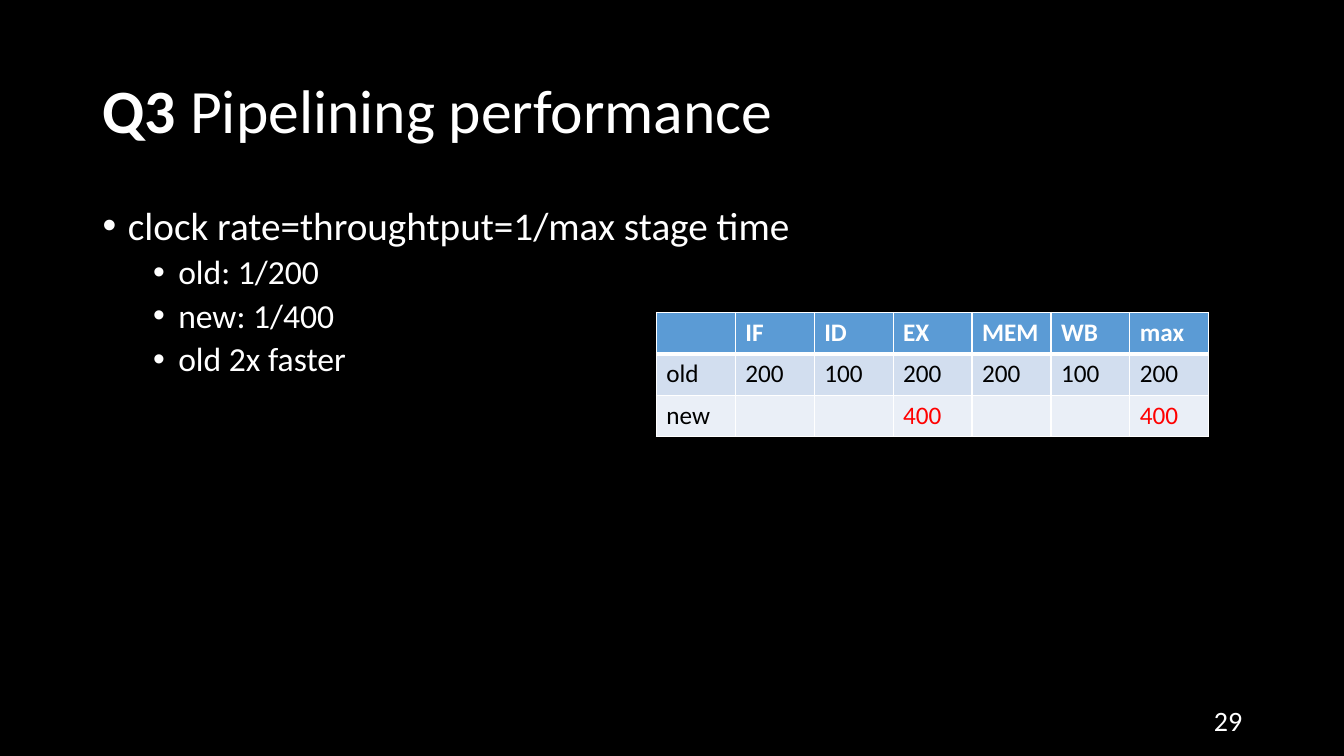
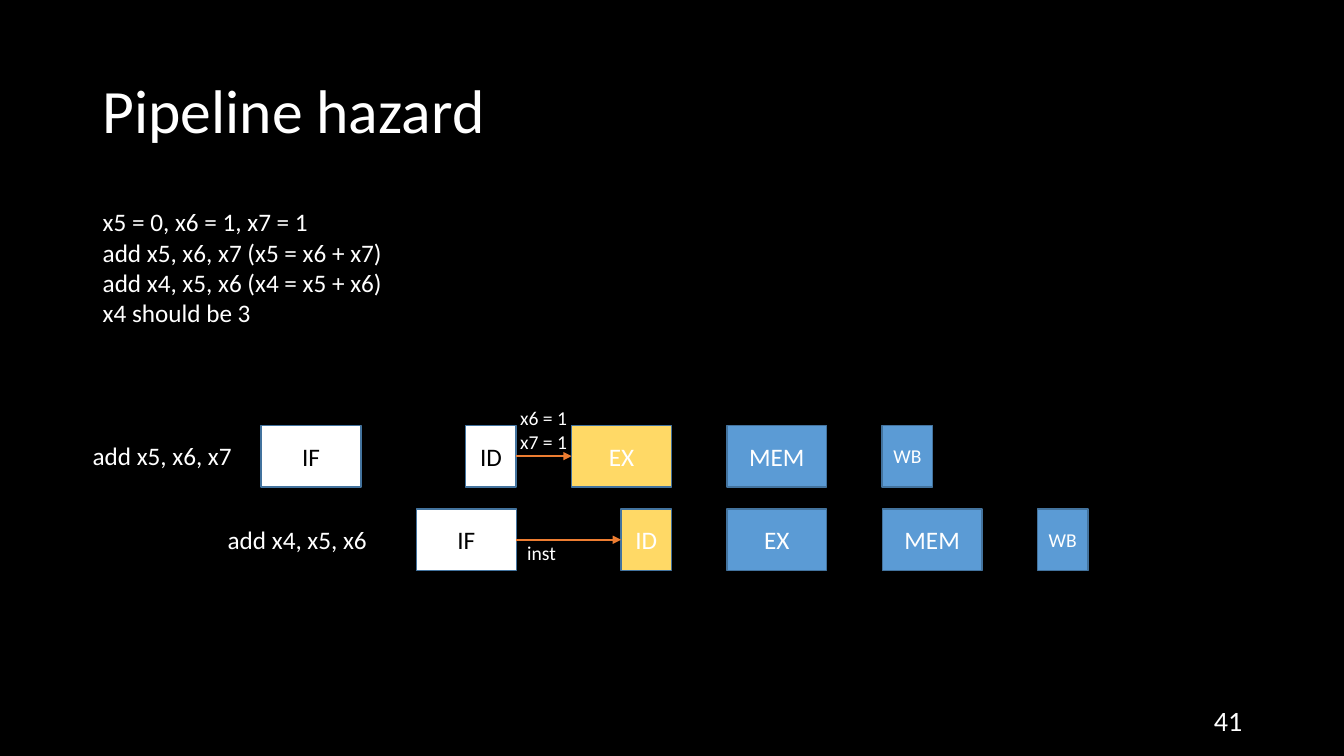
"""Build two slides on pipelining performance and pipeline hazards."""
from dataclasses import dataclass

from lxml import etree
from pptx import Presentation
from pptx.dml.color import RGBColor
from pptx.enum.shapes import MSO_CONNECTOR, MSO_SHAPE
from pptx.enum.text import MSO_ANCHOR, PP_ALIGN
from pptx.oxml.ns import qn
from pptx.util import Inches, Pt

TOP, MIDDLE = MSO_ANCHOR.TOP, MSO_ANCHOR.MIDDLE
LEFT, CENTER, RIGHT = PP_ALIGN.LEFT, PP_ALIGN.CENTER, PP_ALIGN.RIGHT
RECTANGLE, STRAIGHT = MSO_SHAPE.RECTANGLE, MSO_CONNECTOR.STRAIGHT
LEFT_SIDE, RIGHT_SIDE = 1, 3


@dataclass(frozen=True)
class Theme:
    font: str = "Calibri"
    black: str = "000000"
    white: str = "FFFFFF"
    blue: str = "5B9BD5"
    yellow: str = "FFD966"
    orange: str = "ED7D31"
    outline: str = "43739E"
    band_dark: str = "D2DEEF"
    band_light: str = "EAEFF7"
    red: str = "FF0000"
    title_size: int = 44
    body_size: int = 28
    sub_size: int = 24
    number_size: int = 20
    text_size: int = 18
    small_size: int = 14


THEME = Theme()


@dataclass(frozen=True)
class Span:
    text: str
    size: int = THEME.text_size
    color: str = THEME.white
    bold: bool = False


@dataclass(frozen=True)
class Para:
    spans: tuple[Span, ...]
    align: PP_ALIGN = LEFT
    line_spacing: float = 1.0
    space_before: int = 0
    bullet_indent: float = 0


@dataclass(frozen=True)
class Area:
    left: float
    top: float
    width: float
    height: float

    def lengths(self) -> tuple:
        return tuple(Inches(value) for value in (self.left, self.top, self.width, self.height))


@dataclass(frozen=True)
class Stage:
    name: str
    offset: float = 0
    width: float = 0.99
    size: int = THEME.text_size


@dataclass(frozen=True)
class Instruction:
    label: str
    label_left: float
    active: int
    wire_lines: tuple[str, ...]
    wire_area: Area


STAGES = (
    Stage("IF"),
    Stage("ID", offset=0.49, width=0.5),
    Stage("EX"),
    Stage("MEM"),
    Stage("WB", width=0.5, size=THEME.small_size),
)
INSTRUCTIONS = (
    Instruction("add x5, x6, x7", 0.82, 2, ("x6 = 1", "x7 = 1"), Area(5.06, 3.98, 0.88, 0.57)),
    Instruction("add x4, x5, x6", 2.16, 1, ("inst",), Area(5.13, 5.32, 0.88, 0.34)),
)
SLOT_LEFT, SLOT_PITCH = 2.59, 1.54
ROW_TOP, ROW_PITCH, STAGE_HEIGHT = 4.22, 0.83, 0.61

STAGE_TIMES = (
    ("", "IF", "ID", "EX", "MEM", "WB", "max"),
    ("old", "200", "100", "200", "200", "100", "200"),
    ("new", "", "", "400", "", "", "400"),
)
TABLE_AREA = Area(6.51, 3.1, 5.48, 1.23)
TITLE_AREA = Area(0.92, 0.4, 11.5, 1.45)
BODY_AREA = Area(0.92, 2, 11.5, 5.18)
CODE_AREA = Area(0.92, 2, 8.78, 1.31)
NUMBER_AREA = Area(9.42, 6.95, 3, 0.4)


def rgb(color: str) -> RGBColor:
    return RGBColor.from_string(color)


def paint(target, color: str) -> None:
    target.fill.solid()
    target.fill.fore_color.rgb = rgb(color)


def write(frame, paras: list[Para]) -> None:
    for index, content in enumerate(paras):
        para = frame.paragraphs[0] if index == 0 else frame.add_paragraph()
        if content.bullet_indent:
            properties = para._p.get_or_add_pPr()
            properties.set("marL", str(Inches(content.bullet_indent)))
            properties.set("indent", str(-Inches(0.25)))
            etree.SubElement(properties, qn("a:buFont")).set("typeface", "Arial")
            etree.SubElement(properties, qn("a:buChar")).set("char", "•")
        formats = {
            "alignment": content.align,
            "line_spacing": content.line_spacing,
            "space_before": Pt(content.space_before),
        }
        for name, value in formats.items():
            setattr(para, name, value)
        for span in content.spans:
            run = para.add_run()
            run.text = span.text
            formats = {"name": THEME.font, "size": Pt(span.size), "bold": span.bold}
            for name, value in formats.items():
                setattr(run.font, name, value)
            run.font.color.rgb = rgb(span.color)


def add_text(page, area: Area, paras: list[Para], anchor: MSO_ANCHOR = TOP, wrap: bool = True) -> None:
    frame = page.shapes.add_textbox(*area.lengths()).text_frame
    frame.word_wrap = wrap
    frame.vertical_anchor = anchor
    write(frame, paras)


def add_page(deck, title: tuple[Span, ...], number: str):
    page = deck.slides.add_slide(deck.slide_layouts[6])
    paint(page.background, THEME.black)
    add_text(page, TITLE_AREA, [Para(title, line_spacing=0.9)], MIDDLE)
    add_text(page, NUMBER_AREA, [Para((Span(number, THEME.number_size),), RIGHT)], MIDDLE)
    return page


def title_span(text: str, bold: bool = False) -> Span:
    return Span(text, THEME.title_size, bold=bold)


def add_borders(cell, widths: dict[str, int]) -> None:
    properties = cell._tc.get_or_add_tcPr()
    for index, (side, width) in enumerate(widths.items()):
        border = etree.Element(qn(f"a:ln{side}"), w=str(Pt(width)))
        fill = etree.SubElement(border, qn("a:solidFill"))
        etree.SubElement(fill, qn("a:srgbClr")).set("val", THEME.white)
        properties.insert(index, border)


def add_times_table(page) -> None:
    row_count, column_count = len(STAGE_TIMES), len(STAGE_TIMES[0])
    table = page.shapes.add_table(row_count, column_count, *TABLE_AREA.lengths()).table
    table.horz_banding = False
    fills = (THEME.blue, THEME.band_dark, THEME.band_light)
    for row, (values, fill) in enumerate(zip(STAGE_TIMES, fills)):
        header = row == 0
        for column, value in enumerate(values):
            cell = table.cell(row, column)
            paint(cell, fill)
            add_borders(cell, {"L": 1, "R": 1, "T": 3 if row == 1 else 1, "B": 3 if header else 1})
            color = THEME.white if header else THEME.red if value == "400" else THEME.black
            spans = (Span(value, color=color, bold=header),) if value else ()
            write(cell.text_frame, [Para(spans)])


def add_stage(page, stage: Stage, slot: int, top: float, fill: str, color: str):
    area = Area(SLOT_LEFT + SLOT_PITCH * slot + stage.offset, top, stage.width, STAGE_HEIGHT)
    box = page.shapes.add_shape(RECTANGLE, *area.lengths())
    box.shadow.inherit = False
    paint(box, fill)
    box.line.color.rgb = rgb(THEME.outline)
    box.line.width = Pt(1)
    frame = box.text_frame
    margins = ("margin_left", "margin_right")
    for name, value in {**dict.fromkeys(margins, 0), "vertical_anchor": MIDDLE}.items():
        setattr(frame, name, value)
    write(frame, [Para((Span(stage.name, stage.size, color),), CENTER)])
    return box


def add_arrow(page, source, target) -> None:
    arrow = page.shapes.add_connector(STRAIGHT, 0, 0, 0, 0)
    arrow.begin_connect(source, RIGHT_SIDE)
    arrow.end_connect(target, LEFT_SIDE)
    arrow.line.color.rgb = rgb(THEME.orange)
    arrow.line.width = Pt(1.5)
    etree.SubElement(arrow.line._get_or_add_ln(), qn("a:tailEnd")).set("type", "triangle")
    etree.SubElement(arrow._element.spPr, qn("a:effectLst"))


def add_instruction(page, row: int, instruction: Instruction) -> None:
    top = ROW_TOP + ROW_PITCH * row
    active = instruction.active
    label_area = Area(instruction.label_left, top + 0.1, 1.6, 0.4)
    add_text(page, label_area, [Para((Span(instruction.label),))], wrap=False)
    boxes = []
    for index, stage in enumerate(STAGES):
        done = index < active
        fill = THEME.white if done else THEME.yellow if index == active else THEME.blue
        color = THEME.black if done else THEME.white
        boxes.append(add_stage(page, stage, row + index, top, fill, color))
    add_arrow(page, boxes[active - 1], boxes[active])
    wire = [Para((Span(line, THEME.small_size),)) for line in instruction.wire_lines]
    add_text(page, instruction.wire_area, wire)


def build_performance(deck) -> None:
    page = add_page(deck, (title_span("Q3 ", bold=True), title_span("Pipelining performance")), "29")
    heading = Span("clock rate=throughtput=1/max stage time", THEME.body_size)
    paras = [Para((heading,), line_spacing=0.9, bullet_indent=0.25)]
    for text in ("old: 1/200", "new: 1/400", "old 2x faster"):
        paras.append(Para((Span(text, THEME.sub_size),), LEFT, 0.9, 5, 0.75))
    add_text(page, BODY_AREA, paras)
    add_times_table(page)


def build_hazard(deck) -> None:
    page = add_page(deck, (title_span("Pipeline hazard"),), "41")
    lines = (
        "x5 = 0, x6 = 1, x7 = 1",
        "add x5, x6, x7 (x5 = x6 + x7)",
        "add x4, x5, x6 (x4 = x5 + x6)",
        "x4 should be 3",
    )
    add_text(page, CODE_AREA, [Para((Span(line),)) for line in lines])
    for row, instruction in enumerate(INSTRUCTIONS):
        add_instruction(page, row, instruction)


def main() -> None:
    deck = Presentation()
    deck.slide_width, deck.slide_height = Inches(13.33), Inches(7.5)
    build_performance(deck)
    build_hazard(deck)
    deck.save("out.pptx")


if __name__ == "__main__":
    main()
